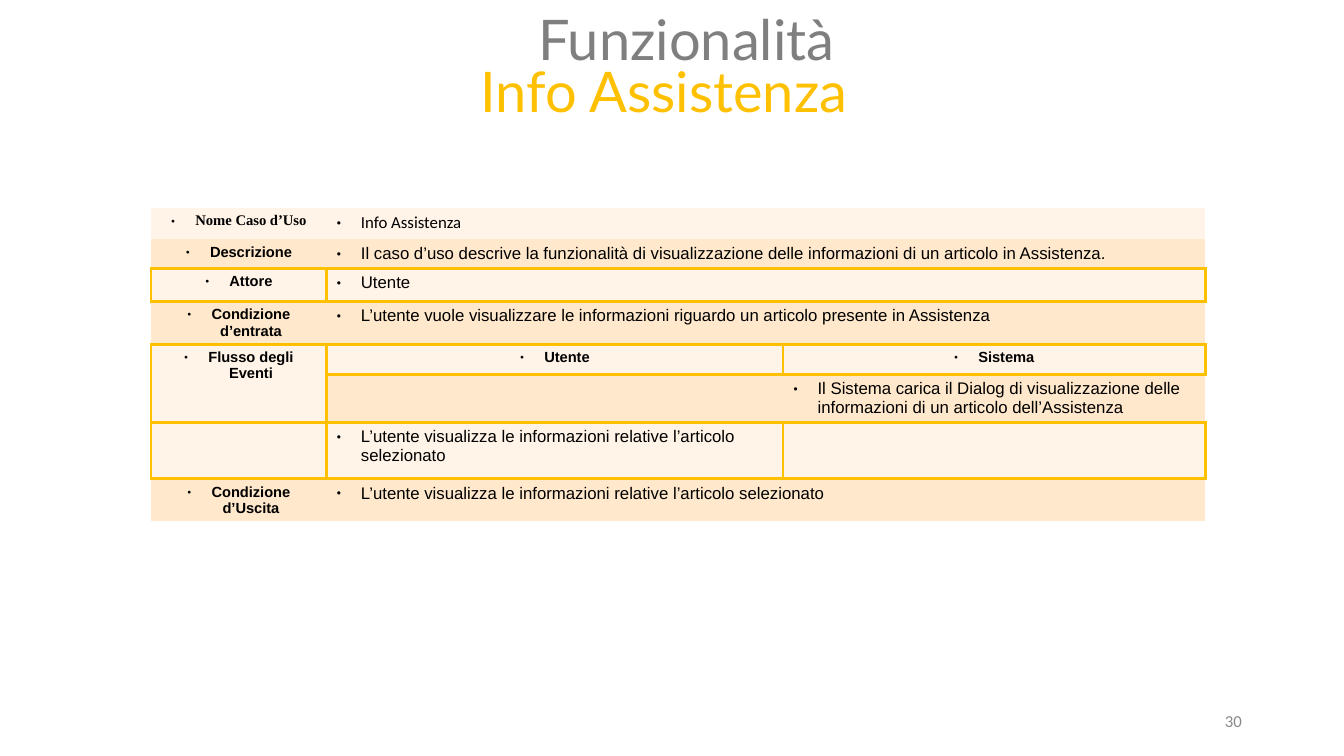
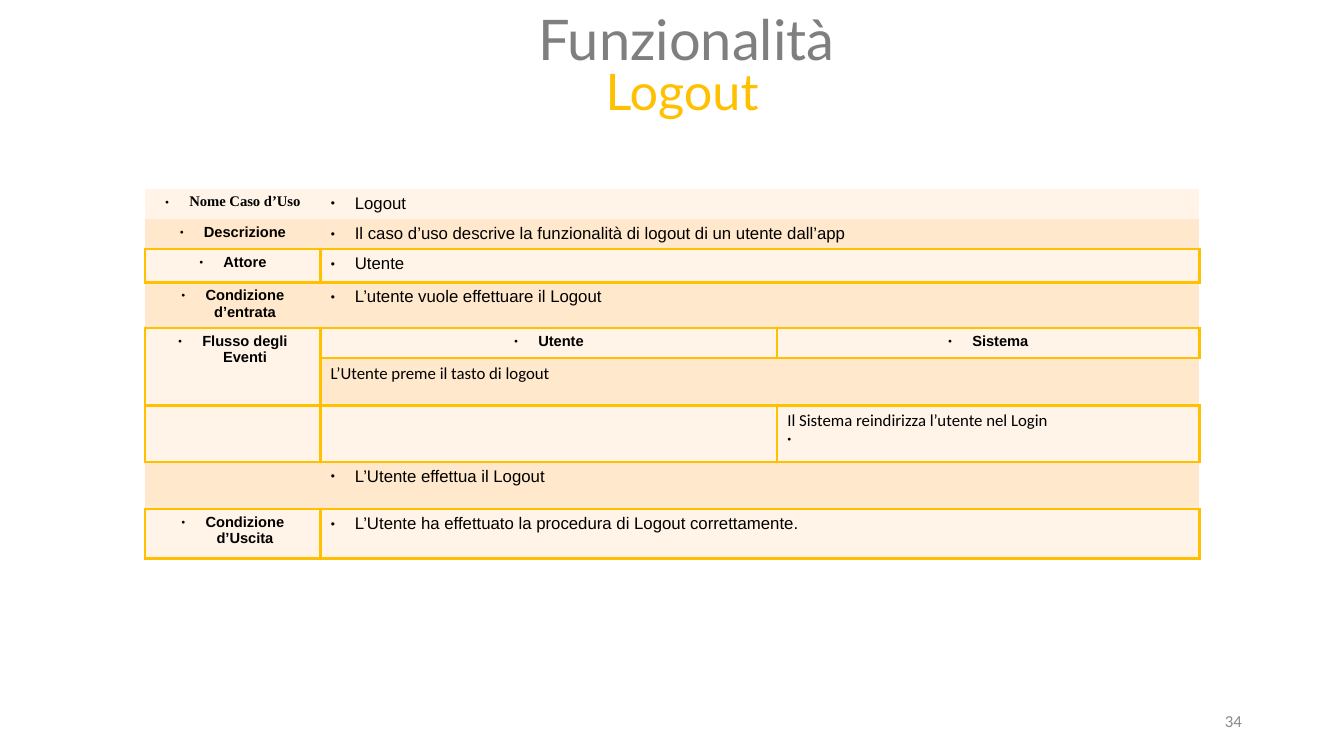
from dataclasses import dataclass

from lxml.etree import SubElement
from pptx import Presentation
from pptx.dml.color import RGBColor as RGB
from pptx.enum.text import MSO_ANCHOR as ANCHOR, PP_ALIGN as ALIGN
from pptx.oxml.ns import qn
from pptx.util import Pt


@dataclass(frozen=True)
class Theme:
    light: str = "FFF4E7"
    dark: str = "FFE8CB"
    accent: str = "FFC000"
    title: str = "7F7F7F"
    number: str = "898989"
    ink: str = "000000"
    title_size: float = 40
    body_size: float = 12
    label_size: float = 10.5
    title_font: str = "Lato"
    body_font: str = "Arial"
    plain_font: str = "Calibri"
    serif_font: str = "Times New Roman"
    border: float = 2
    indent: float = 17.28


T = Theme()


def write(tf, text, size=T.body_size, font=T.body_font, color=T.ink,
          bold=False, align=ALIGN.LEFT, bullet=False):
    p = tf.paragraphs[-1]
    if p.runs:
        p = tf.add_paragraph()
    p.alignment = align
    r = p.add_run()
    r.text = text
    r.font.size, r.font.name, r.font.bold = Pt(size), font, bold
    r.font.color.rgb = RGB.from_string(color)
    if bullet:
        pPr = p._p.get_or_add_pPr()
        pPr.set("marL", str(Pt(T.indent)))
        pPr.set("indent", str(-Pt(T.indent)))
        SubElement(SubElement(pPr, qn("a:buClr")), qn("a:srgbClr"), val=T.ink)
        SubElement(pPr, qn("a:buSzPct"), val="45000")
        SubElement(pPr, qn("a:buFont"), typeface=T.body_font)
        SubElement(pPr, qn("a:buChar"), char="●")


def text_box(s, box, text, anchor=ANCHOR.TOP, **fmt):
    tf = s.shapes.add_textbox(*map(Pt, box)).text_frame
    tf.word_wrap = True
    tf.vertical_anchor = anchor
    write(tf, text, **fmt)


NO_STYLE = "{2D5ABB26-0587-4C30-8999-92F81FD0307C}"
COLS = [125.3, 326.2, 301.5]
HEADER_ROW = 4
BODY = dict(bullet=True)
LABEL = dict(size=T.label_size, bold=True, align=ALIGN.CENTER, bullet=True)
SERIF = LABEL | dict(font=T.serif_font)
PLAIN = dict(font=T.plain_font)
NAME = [("Nome Caso d’Uso", SERIF)]
FLOW_HEADER = ["Flusso degli Eventi", "Utente", "Sistema"]

SLIDES = [
    dict(
        number="30", name="Info Assistenza", name_size=T.title_size,
        name_box=(336.2, 36.7, 296, 103), table_at=(108, 148.4),
        heights=[22.3, 21, 23.8, 30.2, 21.6, 33.8, 40.3, 30.2],
        rows=[
            [NAME, [("Info Assistenza", PLAIN | BODY)], None],
            ["Descrizione", "Il caso d’uso descrive la funzionalità di visualizzazione "
             "delle informazioni di un articolo in Assistenza.", None],
            ["Attore", "Utente", None],
            ["Condizione d’entrata", "L’utente vuole visualizzare le informazioni "
             "riguardo un articolo presente in Assistenza", None],
            FLOW_HEADER,
            [None, "", "Il Sistema carica il Dialog di visualizzazione delle "
             "informazioni di un articolo dell’Assistenza"],
            ["", "L’utente visualizza le informazioni relative l’articolo selezionato", ""],
            ["Condizione d’Uscita",
             "L’utente visualizza le informazioni relative l’articolo selezionato", None],
        ],
    ),
    dict(
        number="34", name="Logout", name_size=36,
        name_box=(425.5, 39.6, 131, 93.6), table_at=(103.7, 134.8),
        heights=[21, 21, 23.8, 30.2, 21.6, 33.8, 40.3, 33.8, 35.3],
        rows=[
            [NAME, "Logout", None],
            ["Descrizione",
             "Il caso d’uso descrive la funzionalità di logout di un utente dall’app", None],
            ["Attore", "Utente", None],
            ["Condizione d’entrata", "L’utente vuole effettuare il Logout", None],
            FLOW_HEADER,
            [None, [("L’Utente preme il tasto di logout", PLAIN)], ""],
            ["", "", [("Il Sistema reindirizza l’utente nel Login", PLAIN),
                      (" ", BODY | dict(size=T.label_size))]],
            ["", "L’Utente effettua il Logout", ""],
            ["Condizione d’Uscita",
             "L’Utente ha effettuato la procedura di Logout correttamente.", None],
        ],
    ),
]

prs = Presentation()
prs.slide_width, prs.slide_height = Pt(960), Pt(540)

for page in SLIDES:
    s = prs.slides.add_slide(prs.slide_layouts[6])
    rows, heights = page["rows"], page["heights"]
    sp = s.shapes.add_table(len(rows), len(COLS), *map(Pt, page["table_at"]),
                            Pt(sum(COLS)), Pt(sum(heights)))
    sp.element.xpath(".//a:tableStyleId")[0].text = NO_STYLE
    table = sp.table
    for col, width in zip(table.columns, COLS):
        col.width = Pt(width)
    for row, height in zip(table.rows, heights):
        row.height = Pt(height)

    for i, row in enumerate(rows):
        for j, content in enumerate(row):
            cell = table.cell(i, j)
            band = i - 1 if content is None and j == 0 else i
            if band and band % 2 == 0:
                tcPr = cell._tc.get_or_add_tcPr()
                for side in "LRTB":
                    ln = SubElement(tcPr, qn("a:ln" + side), w=str(Pt(T.border)))
                    fill = SubElement(ln, qn("a:solidFill"))
                    SubElement(fill, qn("a:srgbClr"), val=T.accent)
            cell.fill.solid()
            cell.fill.fore_color.rgb = RGB.from_string(T.dark if band % 2 else T.light)
            if content is None:
                origin = table.cell(i, j - 1) if j else table.cell(i - 1, j)
                origin.merge(cell)
            elif content:
                style = LABEL if j == 0 or i == HEADER_ROW else BODY
                parts = [(content, style)] if isinstance(content, str) else content
                for text, fmt in parts:
                    write(cell.text_frame, text, **fmt)

    text_box(s, (364.3, 0, 252, 55.4), "Funzionalità", size=T.title_size,
             font=T.title_font, color=T.title, align=ALIGN.CENTER)
    text_box(s, page["name_box"], page["name"], size=page["name_size"],
             font=T.title_font, color=T.accent)
    text_box(s, (678.2, 500.4, 216, 28.8), page["number"], anchor=ANCHOR.MIDDLE,
             font=T.plain_font, color=T.number, align=ALIGN.RIGHT)

prs.save("out.pptx")
